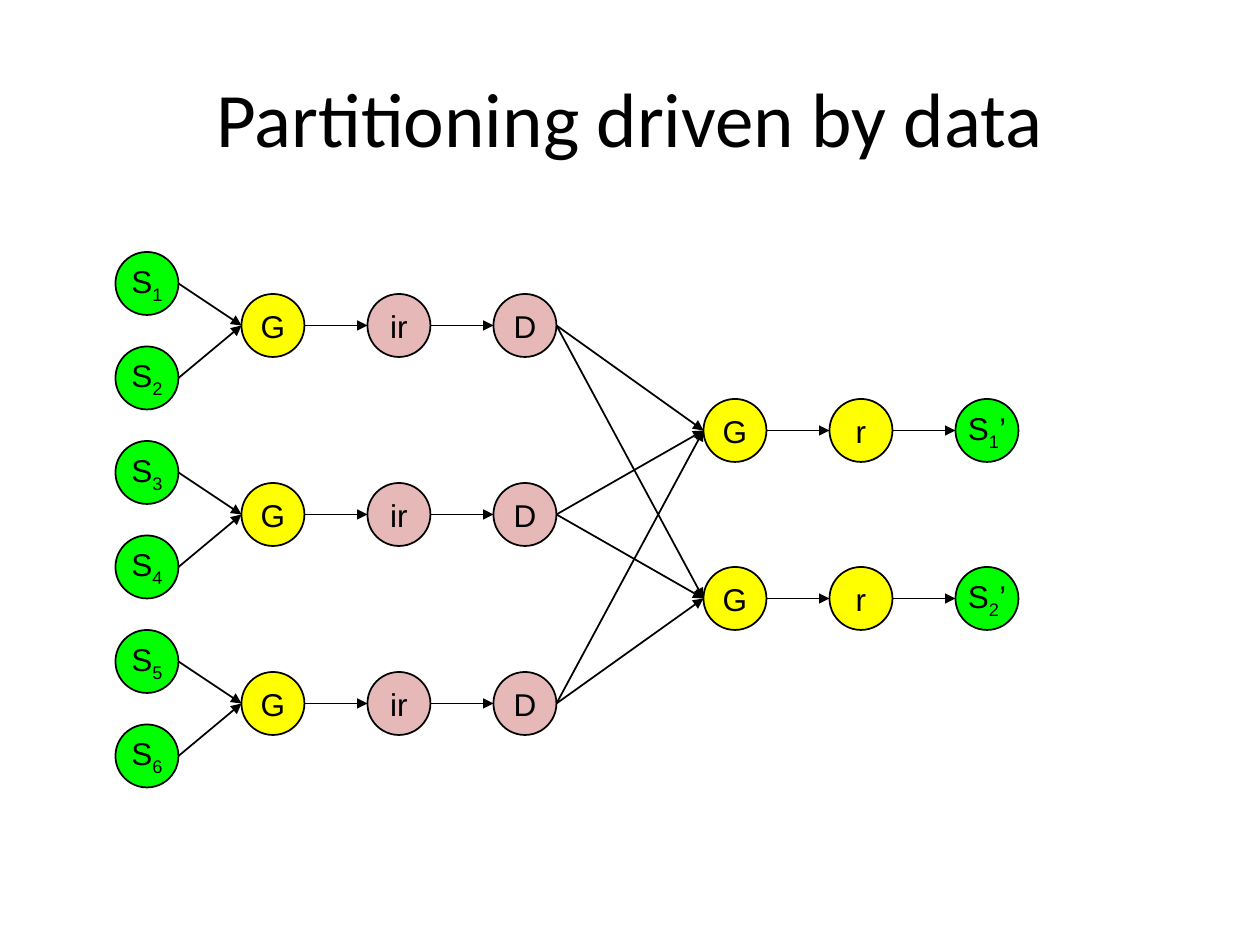
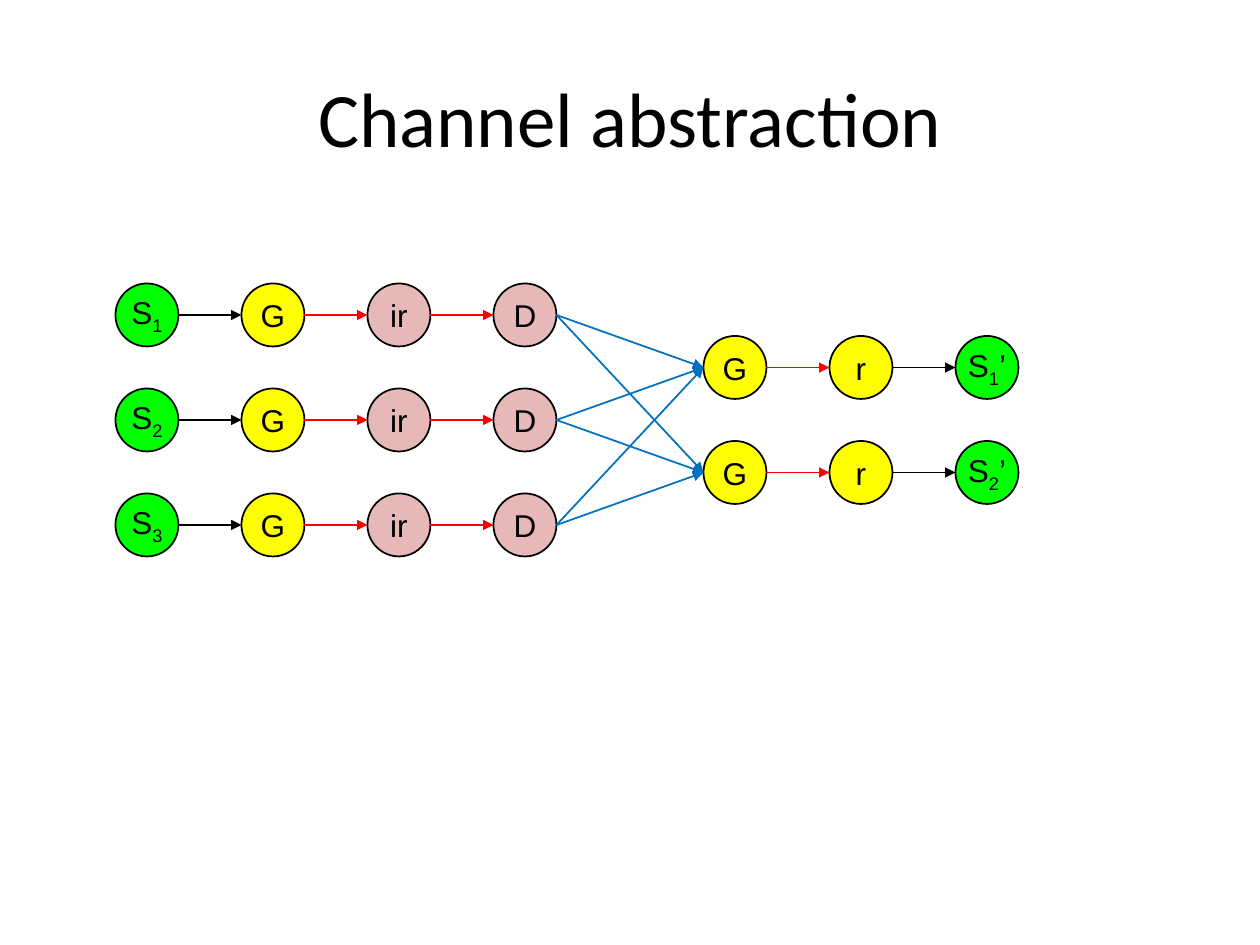
import itertools
from dataclasses import dataclass

import pptx
import pptx.util
import pptx.dml.color
import pptx.enum.shapes
import pptx.enum.text
import pptx.oxml
import pptx.oxml.ns

Pt = pptx.util.Pt


@dataclass(frozen=True)
class Theme:
    black: str = "000000"
    green: str = "00FF00"
    yellow: str = "FFFF00"
    pink: str = "E6B9B8"
    red: str = "FF0000"
    blue: str = "0070C0"
    head: str = "Calibri"
    body: str = "Arial"
    big: int = 44
    text: int = 18
    line: int = 1
    size: int = 36
    step: int = 72
    merge: int = 336


@dataclass(frozen=True)
class Rows:
    top: int
    gap: int
    count: int

    def tops(self):
        return [self.top + self.gap * i for i in range(self.count)]


@dataclass(frozen=True)
class Inks:
    pipe: str
    cross: str


THEME = Theme()


def color(code):
    return pptx.dml.color.RGBColor.from_string(code)


def style(font, face, size):
    font.name = face
    font.size = Pt(size)
    font.color.rgb = color(THEME.black)


def label(shape, text):
    frame = shape.text_frame
    frame.word_wrap = False
    frame.margin_left = frame.margin_right = 0
    frame.margin_top = frame.margin_bottom = 0
    frame.vertical_anchor = pptx.enum.text.MSO_ANCHOR.MIDDLE
    para = frame.paragraphs[0]
    para.alignment = pptx.enum.text.PP_ALIGN.CENTER
    for digit, part in itertools.groupby(text, str.isdigit):
        run = para.add_run()
        run.text = "".join(part)
        style(run.font, THEME.body, THEME.text)
        if digit:
            run._r.get_or_add_rPr().set("baseline", "-25000")


def node(slide, left, top, text, fill):
    shape = slide.shapes.add_shape(
        pptx.enum.shapes.MSO_SHAPE.OVAL,
        Pt(left), Pt(top), Pt(THEME.size), Pt(THEME.size))
    shape.shadow.inherit = False
    shape.fill.solid()
    shape.fill.fore_color.rgb = color(fill)
    shape.line.color.rgb = color(THEME.black)
    shape.line.width = Pt(THEME.line)
    label(shape, text)
    return shape


def arrow(slide, start, end, ink):
    link = slide.shapes.add_connector(
        pptx.enum.shapes.MSO_CONNECTOR.STRAIGHT,
        start.left + start.width, start.top + start.height // 2,
        end.left, end.top + end.height // 2)
    link.line.color.rgb = color(ink)
    link.line.width = Pt(THEME.line)
    tail = pptx.oxml.parse_xml(
        f'<a:tailEnd {pptx.oxml.ns.nsdecls("a")} type="triangle"/>')
    link.line._get_or_add_ln().append(tail)
    glow = pptx.oxml.parse_xml(f'<a:effectLst {pptx.oxml.ns.nsdecls("a")}/>')
    link._element.spPr.append(glow)


def chain(slide, left, top, parts, ink):
    nodes = [node(slide, left + i * THEME.step, top, text, fill)
             for i, (text, fill) in enumerate(parts)]
    for start, end in itertools.pairwise(nodes):
        arrow(slide, start, end, ink)
    return nodes


def graph(slide, left, top, feeds, maps, sinks, inks):
    def column(rows, shift, parts):
        return [chain(slide, left + shift, top + y, parts, inks.pipe)
                for y in rows.tops()]

    inputs = [node(slide, left, top + y, f"S{i}", THEME.green)
              for i, y in enumerate(feeds.tops(), 1)]
    lanes = column(maps, THEME.step, [
        ("G", THEME.yellow), ("ir", THEME.pink), ("D", THEME.pink)])
    ends = column(sinks, THEME.merge, [
        ("G", THEME.yellow), ("r", THEME.yellow)])

    share = len(inputs) // len(lanes)
    for i, start in enumerate(inputs):
        arrow(slide, start, lanes[i // share][0], THEME.black)
    for lane, end in itertools.product(lanes, ends):
        arrow(slide, lane[-1], end[0], inks.cross)
    last = left + THEME.merge + 2 * THEME.step
    for i, (end, y) in enumerate(zip(ends, sinks.tops()), 1):
        goal = node(slide, last, top + y, f"S{i}’", THEME.green)
        arrow(slide, end[-1], goal, THEME.black)


def page(deck, title):
    slide = deck.slides.add_slide(deck.slide_layouts[5])
    head = slide.shapes.title
    head.left, head.top = Pt(36), Pt(21.6)
    head.width, head.height = Pt(648), Pt(90)
    head.text_frame.text = title
    head.text_frame.vertical_anchor = pptx.enum.text.MSO_ANCHOR.MIDDLE
    para = head.text_frame.paragraphs[0]
    para.alignment = pptx.enum.text.PP_ALIGN.CENTER
    style(para.runs[0].font, THEME.head, THEME.big)
    return slide


def main():
    deck = pptx.Presentation()
    deck.slide_width, deck.slide_height = Pt(720), Pt(540)
    graph(page(deck, "Partitioning driven by data"), 66, 144,
          feeds=Rows(0, 54, 6), maps=Rows(24, 108, 3), sinks=Rows(84, 96, 2),
          inks=Inks(THEME.black, THEME.black))
    graph(page(deck, "Channel abstraction"), 66, 162,
          feeds=Rows(0, 60, 3), maps=Rows(0, 60, 3), sinks=Rows(30, 60, 2),
          inks=Inks(THEME.red, THEME.blue))
    deck.save("out.pptx")


if __name__ == "__main__":
    main()
